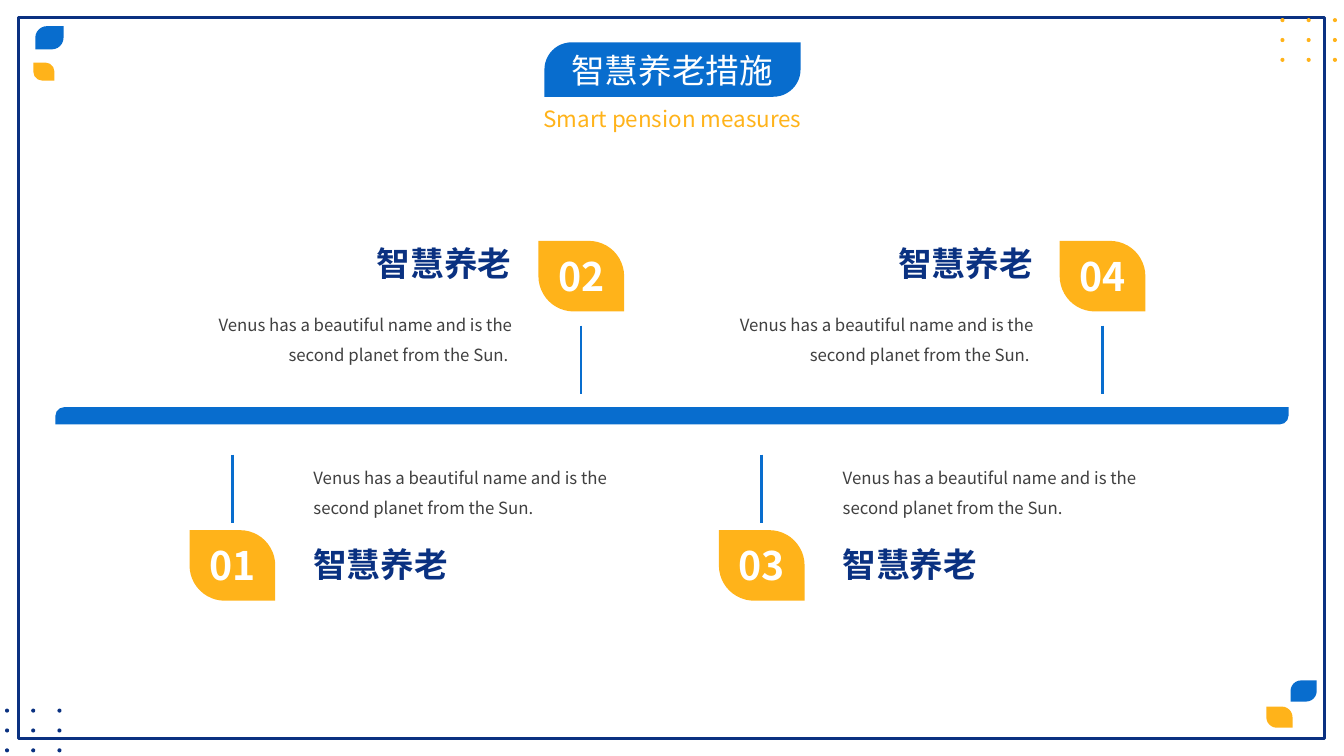
from lxml.etree import SubElement
from pptx import Presentation
from pptx.dml.color import RGBColor
from pptx.enum.shapes import MSO_CONNECTOR, MSO_SHAPE
from pptx.enum.text import MSO_ANCHOR, MSO_AUTO_SIZE, PP_ALIGN
from pptx.oxml.ns import qn
from pptx.util import Inches, Pt

NAVY = RGBColor(0x0A, 0x31, 0x81)
BLUE = RGBColor(0x08, 0x6D, 0xCE)
AMBER = RGBColor(0xFF, 0xB3, 0x1A)
GREY = RGBColor(0x40, 0x40, 0x40)
WHITE = RGBColor(0xFF, 0xFF, 0xFF)
FONT = "Noto Sans CJK SC"
CELL = Inches(0.1)  # the slide is a grid of 133.3 columns by 75 rows

deck = Presentation()
deck.slide_width, deck.slide_height = int(133.3 * CELL), 75 * CELL
page = deck.slides.add_slide(deck.slide_layouts[5])


def add_block(kind, column, row, columns, rows, color, corners=()):
    """Add a filled shape; corners rounds the two diagonals."""
    block = page.shapes.add_shape(
        kind, *(round(n * CELL) for n in (column, row, columns, rows)))
    block.shadow.inherit = False
    block.fill.solid()
    block.fill.fore_color.rgb = color
    block.line.fill.background()
    for index, corner in enumerate(corners):
        block.adjustments[index] = corner
    return block


def write(column, row, columns, rows, text, size, color,
          align=PP_ALIGN.CENTER, bold=False, spacing=1.0, box=None):
    """Write one paragraph into a new text box or the given placeholder."""
    place = [round(n * CELL) for n in (column, row, columns, rows)]
    box = box or page.shapes.add_textbox(*place)
    box.left, box.top, box.width, box.height = place
    frame = box.text_frame
    frame.text = text
    frame.word_wrap = True
    frame.auto_size = MSO_AUTO_SIZE.SHAPE_TO_FIT_TEXT
    frame.vertical_anchor = MSO_ANCHOR.TOP
    para = frame.paragraphs[0]
    para.alignment = align
    para.line_spacing = spacing
    span = para.runs[0]
    span.font.size = Pt(size)
    span.font.bold = bold
    span.font.color.rgb = color
    span.font.name = FONT
    SubElement(span.font._element, qn("a:ea"), typeface=FONT)


LEAF = MSO_SHAPE.ROUND_2_DIAG_RECTANGLE
FALLING, RISING = (0.5, 0), (0, 0.5)  # which diagonal is rounded

# Frame
border = add_block(MSO_SHAPE.RECTANGLE, 1.8, 1.7, 129.6, 71.6, WHITE)
border.fill.background()
border.line.color.rgb = NAVY
border.line.width = Pt(2)

# Dot grids in two corners
for left, top, color in ((0.5, 70.3, NAVY), (127, 1.8, AMBER)):
    for index in range(9):
        add_block(MSO_SHAPE.OVAL, left + 2.6 * (index % 3),
                  top + 1.97 * (index // 3), 0.4, 0.4, color)

# Leaf pairs in the other corners
for column, row, columns, rows, color, corners in (
        (3.5, 2.6, 2.8, 2.3, BLUE, FALLING),
        (3.3, 6.2, 2.1, 1.8, AMBER, RISING),
        (128, 67.5, 2.6, 2.1, BLUE, FALLING),
        (125.6, 70.1, 2.6, 2.1, AMBER, RISING)):
    add_block(LEAF, column, row, columns, rows, color, corners)

# Title on its banner, with subtitle
banner = add_block(LEAF, 54, 4.2, 25.4, 5.4, BLUE, FALLING)
title = page.shapes.title
banner.element.addnext(title.element)
write(40.7, 4.4, 51.9, 5, "智慧养老措施", 24, WHITE, box=title)
write(39.4, 9.9, 54.6, 3.7, "Smart pension measures", 16, AMBER)

# Timeline bar
add_block(LEAF, 5.5, 40.4, 122.3, 1.7, BLUE, FALLING)

# Steps, alternating below and above the bar
sentence = "Venus has a beautiful name and is the second planet from the Sun."
below = dict(leaf=52.6, heading=53.5, body=44.9, stem=45.1,
             heading_shift=11.3, body_shift=11.3,
             align=PP_ALIGN.LEFT, text=sentence)
above = dict(leaf=23.9, heading=23.6, body=29.7, stem=32.3,
             heading_shift=-29.5, body_shift=-36.8,
             align=PP_ALIGN.RIGHT, text=sentence + " ")
for number, column, side in (("01", 18.8, below), ("02", 53.4, above),
                             ("03", 71.3, below), ("04", 105.1, above)):
    write(column + side["heading_shift"], side["heading"], 27.8, 5,
          "智慧养老", 24, NAVY, side["align"], bold=True)
    write(column + side["body_shift"], side["body"], 35.2, 6.8,
          side["text"], 12, GREY, side["align"], spacing=1.5)
    add_block(LEAF, column, side["leaf"], 8.5, 7, AMBER, RISING)
    write(column - 3.2, side["leaf"] + 0.6, 14.9, 5.7, number, 28, WHITE,
          bold=True)
    middle = round((column + 4.25) * CELL)
    stem = page.shapes.add_connector(
        MSO_CONNECTOR.STRAIGHT, middle, round(side["stem"] * CELL),
        middle, round((side["stem"] + 6.8) * CELL))
    stem.line.color.rgb = BLUE
    stem.line.width = Pt(1.75)
    SubElement(stem.element.spPr, qn("a:effectLst"))

deck.save("out.pptx")
